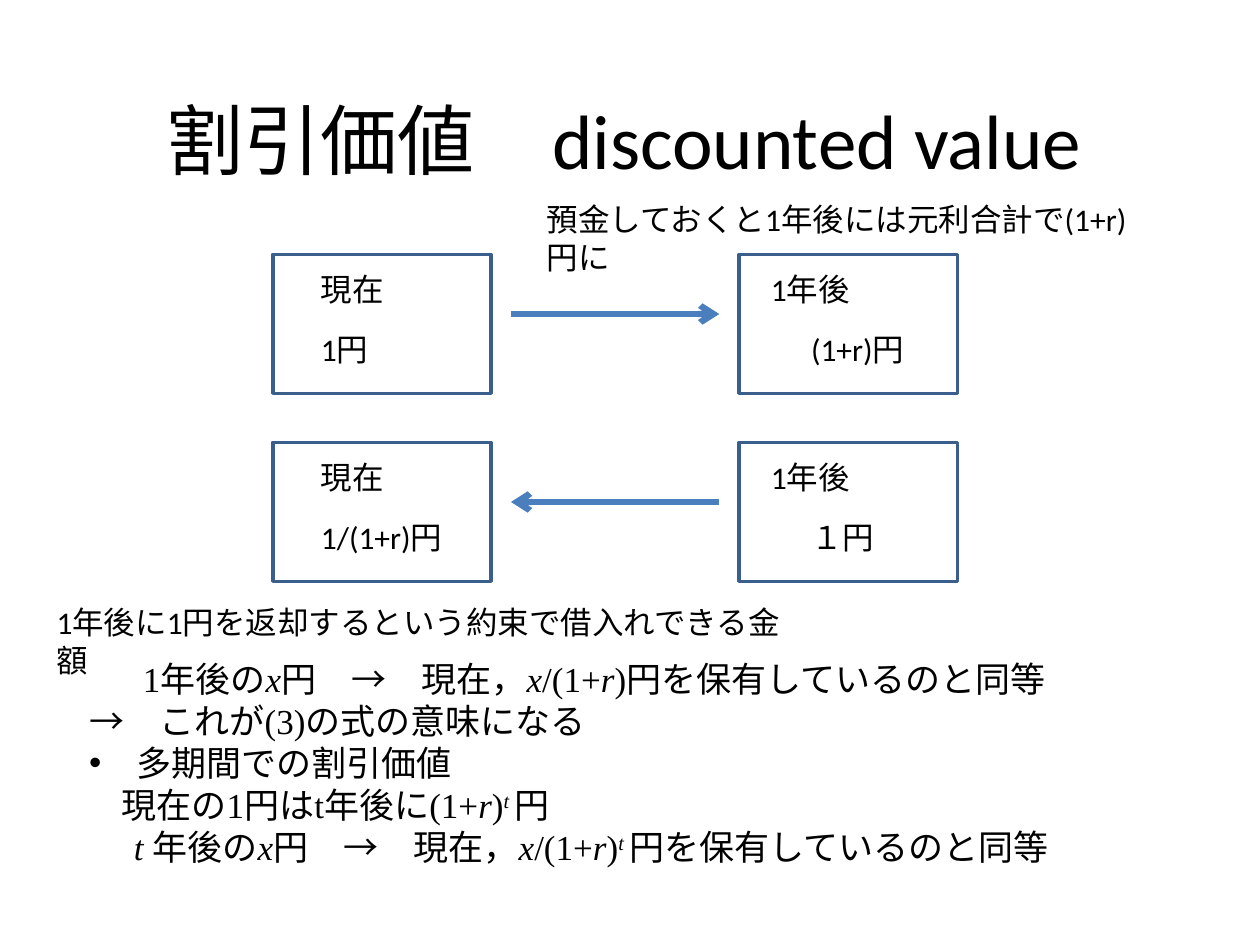
from dataclasses import dataclass

from lxml.etree import SubElement
from pptx import Presentation
from pptx.dml.color import RGBColor as RGB
from pptx.enum.shapes import MSO_CONNECTOR as CONN, MSO_SHAPE as SHAPE
from pptx.enum.text import MSO_ANCHOR as ANCHOR, PP_ALIGN as ALIGN
from pptx.oxml.ns import qn
from pptx.util import Cm, Pt


@dataclass(frozen=True)
class Theme:
    """Colours, fonts and type sizes of the slide."""
    ink: RGB = RGB(0, 0, 0)
    border: RGB = RGB(0x3A, 0x5F, 0x8C)
    arrow: RGB = RGB(0x4B, 0x7E, 0xBC)
    sans: str = "Calibri"
    serif: str = "Times New Roman"
    title: int = 44
    label: int = 18
    body: int = 20


T = Theme()
ITALIC = {"italic": True}

ROWS = [
    (5.13, "現在", "1円", "1年後", "(1+r)円", False),
    (8.92, "現在", "1/(1+r)円", "1年後", "１円", True),
]
NOTES = [
    (10.77, 3.91, 12.8, "預金しておくと1年後には元利合計で(1+r)円に"),
    (0.89, 12.04, 15.6, "1年後に1円を返却するという約束で借入れできる金額"),
]
BODY = [
    (1.08, "1年後の|*x|円　→　現在，|*x|/(1+|*r|)円を保有しているのと同等"),
    (0, "→　これが(3)の式の意味になる"),
    (None, "多期間での割引価値"),
    (0.65, "現在の1円はt年後に(1+|*r|)|^t |円"),
    (0.9, "*t |年後の|*x|円　→　現在，|*x|/(1+|*r|)|^t |円を保有しているのと同等"),
]


def set_attrs(obj, values):
    """Set each named attribute of an object."""
    for name, value in values.items():
        setattr(obj, name, value)


def add_run(p, text, font, size, **extra):
    """Add one formatted run."""
    r = p.add_run()
    r.text = text
    set_attrs(r.font, {"name": font, "size": Pt(size), **extra})
    r.font.color.rgb = T.ink
    return r


def add_textbox(slide, x, y, w, h):
    """Add an empty wrapping text box and return its frame."""
    tf = slide.shapes.add_textbox(Cm(x), Cm(y), Cm(w), Cm(h)).text_frame
    tf.word_wrap = True
    return tf


def add_label(slide, x, y, w, text):
    """Add a one-paragraph label."""
    tf = add_textbox(slide, x, y, w, 1.02)
    add_run(tf.paragraphs[0], text, T.sans, T.label)


def add_box(slide, x, y):
    """Add an outlined box."""
    sp = slide.shapes.add_shape(SHAPE.RECTANGLE, Cm(x), Cm(y), Cm(4.4), Cm(2.8))
    sp.shadow.inherit = False
    sp.fill.background()
    sp.line.color.rgb = T.border
    sp.line.width = Pt(2)


def add_arrow(slide, x1, x2, y):
    """Add a horizontal arrow pointing at x2."""
    cx = slide.shapes.add_connector(CONN.STRAIGHT, Cm(x1), Cm(y), Cm(x2), Cm(y))
    cx.line.color.rgb = T.arrow
    cx.line.width = Pt(3.5)
    SubElement(cx.line._get_or_add_ln(), qn("a:tailEnd"), type="arrow")
    SubElement(cx._element.spPr, qn("a:effectLst"))


def add_row(slide, y, now, now_value, later, later_value, backward):
    """Add a pair of labelled boxes joined by an arrow."""
    for x in (5.5, 14.9):
        add_box(slide, x, y)
    ends = (10.3, 14.5)
    add_arrow(slide, *(reversed(ends) if backward else ends), y + 1.2)
    add_label(slide, 6.22, y + 0.18, 1.8, now)
    add_label(slide, 15.29, y + 0.18, 2.4, later)
    add_label(slide, 6.22, y + 1.4, 3.68, now_value)
    add_label(slide, 16.1, y + 1.4, 2.6, later_value)


def set_indent(p, indent):
    """Indent the first line, or hang a bullet when indent is None."""
    pPr = p._p.get_or_add_pPr()
    if indent is None:
        pPr.set("marL", str(Cm(0.95)))
        pPr.set("indent", str(Cm(-0.95)))
        SubElement(pPr, qn("a:buFont"), typeface="Arial")
        SubElement(pPr, qn("a:buChar"), char="•")
    else:
        pPr.set("indent", str(Cm(indent)))


def add_body(slide):
    """Add the explanation, with * for italic and ^ for superscript runs."""
    tf = add_textbox(slide, 1.55, 13.13, 22, 4.7)
    for i, (indent, line) in enumerate(BODY):
        p = tf.add_paragraph() if i else tf.paragraphs[0]
        if not i:
            p.space_before = Pt(3)
        set_indent(p, indent)
        for part in line.split("|"):
            style = ITALIC if part[0] in "*^" else {}
            r = add_run(p, part.lstrip("*^"), T.serif, T.body, **style)
            if part[0] == "^":
                r.font._element.set("baseline", "30000")


def add_title(slide, text):
    """Place and format the title."""
    sp = slide.shapes.title
    set_attrs(sp, {"left": Cm(1.27), "top": Cm(1.27),
                   "width": Cm(22.63), "height": Cm(3.05)})
    tf = sp.text_frame
    set_attrs(tf, {"word_wrap": True, "vertical_anchor": ANCHOR.MIDDLE})
    p = tf.paragraphs[0]
    p.alignment = ALIGN.CENTER
    add_run(p, text, T.sans, T.title)


def main():
    """Build and save the slide."""
    prs = Presentation()
    set_attrs(prs, {"slide_width": Cm(25.4), "slide_height": Cm(19.05)})
    slide = prs.slides.add_slide(prs.slide_layouts[5])
    add_title(slide, "割引価値　discounted value")
    for row in ROWS:
        add_row(slide, *row)
    add_body(slide)
    for note in NOTES:
        add_label(slide, *note)
    prs.save("out.pptx")


main()
